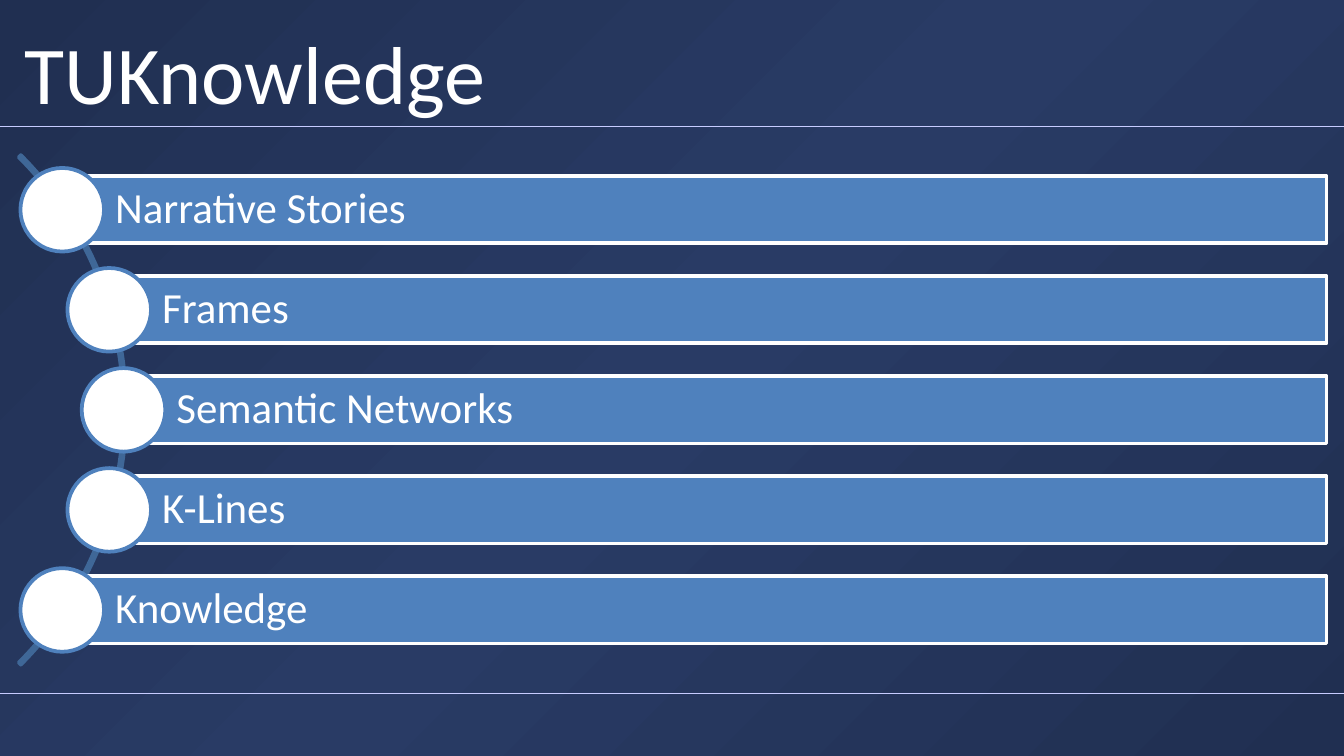
import math

from lxml import etree
from pptx import Presentation
from pptx.dml.color import RGBColor
from pptx.enum import shapes, text
from pptx.oxml import ns
from pptx.util import Pt

COLORS = {
    "edge": "202F51",
    "middle": "293B65",
    "rule": "C7CCFF",
    "arc": "3F6797",
    "bar": "4F81BD",
    "white": "FFFFFF",
}
WIDTH, HEIGHT = 720, 405
TOPICS = ["Narrative Stories", "Frames", "Semantic Networks", "K-Lines", "Knowledge"]
CENTER_X, CENTER_Y = -125.3, 219.6
ARC_SIZE, NODE_RADIUS = 386, 191.5
ROW_STEP = 53.6
BAR_HEIGHT, BAR_RIGHT = 36, 710.6
NODE_SIZE = 44.8


def color(name):
    return RGBColor.from_string(COLORS[name])


def set_background(slide):
    slide.background.fill.gradient()
    gradient = slide.element.find(".//" + ns.qn("a:gradFill"))
    for child in list(gradient):
        gradient.remove(child)
    stops = etree.SubElement(gradient, ns.qn("a:gsLst"))
    for position, name in ((0, "edge"), (50000, "middle"), (100000, "edge")):
        stop = etree.SubElement(stops, ns.qn("a:gs"), pos=str(position))
        etree.SubElement(stop, ns.qn("a:srgbClr"), val=COLORS[name])
    circle = etree.SubElement(gradient, ns.qn("a:path"), path="circle")
    etree.SubElement(circle, ns.qn("a:fillToRect"), l="100000", t="100000")


def write_text(shape, content, size, anchor, margins, spacing=1.0):
    frame = shape.text_frame
    frame.word_wrap = True
    frame.auto_size = text.MSO_AUTO_SIZE.NONE
    frame.vertical_anchor = anchor
    left, top, right, bottom = map(Pt, margins)
    frame.margin_left, frame.margin_top = left, top
    frame.margin_right, frame.margin_bottom = right, bottom
    paragraph = frame.paragraphs[0]
    paragraph.text = content
    paragraph.alignment = text.PP_ALIGN.LEFT
    paragraph.line_spacing = spacing
    paragraph.font.name = "Calibri"
    paragraph.font.size = Pt(size)
    paragraph.font.color.rgb = color("white")


def add_title(slide, content):
    title = slide.shapes.title
    title.left, title.top, title.width, title.height = map(Pt, (6, 6, 708, 57))
    write_text(title, content, size=44, anchor=text.MSO_ANCHOR.TOP, margins=(7.2, 6, 7.2, 0))


def add_rule(slide, y):
    rule = slide.shapes.add_connector(
        shapes.MSO_CONNECTOR.STRAIGHT, Pt(0), Pt(y), Pt(WIDTH), Pt(y)
    )
    rule.line.color.rgb = color("rule")
    rule.line.width = Pt(0.5)
    etree.SubElement(rule.element.spPr, ns.qn("a:effectLst"))


def add_outlined(slide, kind, left, top, width, height, line, fill=None):
    shape = slide.shapes.add_shape(kind, Pt(left), Pt(top), Pt(width), Pt(height))
    shape.shadow.inherit = False
    if fill:
        shape.fill.solid()
        shape.fill.fore_color.rgb = color(fill)
    else:
        shape.fill.background()
    shape.line.color.rgb = color(line)
    shape.line.width = Pt(2)
    return shape


def add_arc(slide):
    arc = add_outlined(
        slide, shapes.MSO_SHAPE.BLOCK_ARC,
        CENTER_X - ARC_SIZE / 2, CENTER_Y - ARC_SIZE / 2, ARC_SIZE, ARC_SIZE, line="arc",
    )
    for index, value in enumerate((189, 27, 0.004)):
        arc.adjustments[index] = value


def add_topic(slide, content, offset):
    x = CENTER_X + math.sqrt(NODE_RADIUS**2 - offset**2)
    y = CENTER_Y + offset
    bar = add_outlined(
        slide, shapes.MSO_SHAPE.RECTANGLE,
        x, y - BAR_HEIGHT / 2, BAR_RIGHT - x, BAR_HEIGHT, line="white", fill="bar",
    )
    write_text(
        bar, content, size=23, anchor=text.MSO_ANCHOR.MIDDLE,
        margins=(28.3, 4.3, 4.3, 4.3), spacing=0.9,
    )
    add_outlined(
        slide, shapes.MSO_SHAPE.OVAL,
        x - NODE_SIZE / 2, y - NODE_SIZE / 2, NODE_SIZE, NODE_SIZE, line="bar", fill="white",
    )


def main():
    presentation = Presentation()
    presentation.slide_width, presentation.slide_height = Pt(WIDTH), Pt(HEIGHT)
    slide = presentation.slides.add_slide(presentation.slide_layouts[5])
    set_background(slide)
    for y in (68, 371.5):
        add_rule(slide, y)
    add_title(slide, "TUKnowledge")
    add_arc(slide)
    for index, topic in enumerate(TOPICS):
        add_topic(slide, topic, (index - (len(TOPICS) - 1) / 2) * ROW_STEP)
    presentation.save("out.pptx")


if __name__ == "__main__":
    main()
